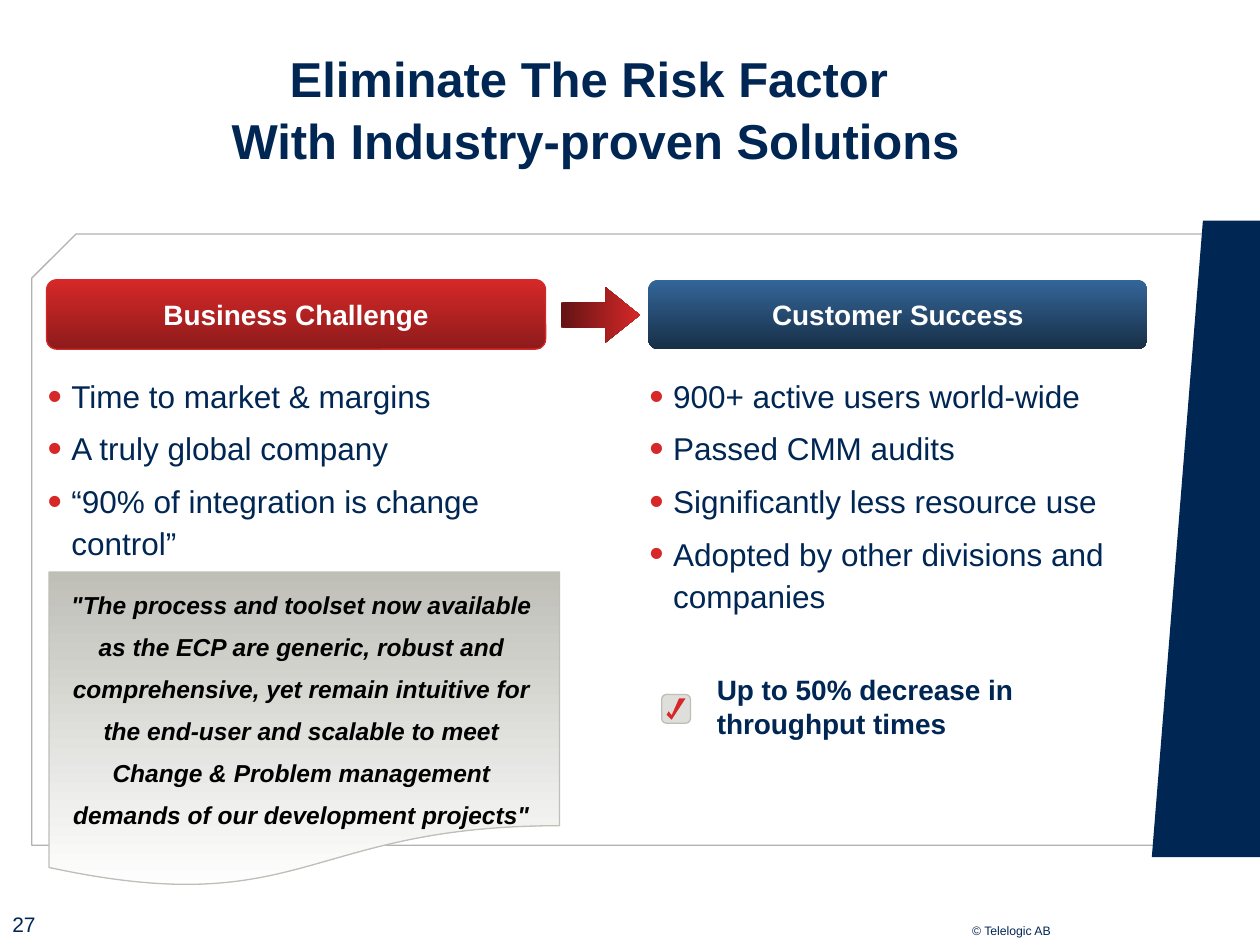
from lxml import etree
from pptx import Presentation
from pptx import util as u
from pptx.dml.color import RGBColor
from pptx.enum import shapes, text
from pptx.oxml import ns

NAVY, RED, GREY, WHITE = "002654", "D62828", "BFBFB8", "FFFFFF"
SHAPE, ALIGN, ANCHOR = shapes.MSO_SHAPE, text.PP_ALIGN, text.MSO_ANCHOR


def rgb(value):
    """Turn a hex string into a colour."""
    return RGBColor.from_string(value)


def child(parent, tag, **attrs):
    """Append a DrawingML element."""
    return etree.SubElement(parent, ns.qn("a:" + tag), attrs)


def paint(sp, fill=None, line=None, angle=270):
    """Fill with one colour or a pair as gradient, and set the outline."""
    sp.shadow.inherit = False
    if isinstance(fill, tuple):
        sp.fill.gradient()
        sp.fill.gradient_angle = angle
        for stop, colour in zip(sp.fill.gradient_stops, fill):
            stop.color.rgb = rgb(colour)
    elif fill:
        sp.fill.solid()
        sp.fill.fore_color.rgb = rgb(fill)
    else:
        sp.fill.background()
    if line:
        sp.line.color.rgb = rgb(line)
        sp.line.width = u.Pt(0.75)
    else:
        sp.line.fill.background()


def preset(s, kind, box, adjust=(), **colours):
    """Add a painted preset shape."""
    sp = s.shapes.add_shape(kind, *map(u.Cm, box))
    for i, value in enumerate(adjust):
        sp.adjustments[i] = value
    paint(sp, **colours)
    return sp


def outline(s, box, points, **colours):
    """Add a closed freeform from points relative to the box corner."""
    pts = [(u.Cm(box[0] + x), u.Cm(box[1] + y)) for x, y in points]
    builder = s.shapes.build_freeform(*pts[0], scale=1.0)
    builder.add_line_segments(pts[1:], close=True)
    paint(builder.convert_to_shape(), **colours)


def style(p, size, colour=NAVY, bold=False, italic=False):
    """Set the font of a paragraph."""
    f = p.font
    f.name, f.size, f.bold, f.italic = "Arial", u.Pt(size), bold, italic
    f.color.rgb = rgb(colour)


def label(s, box, words, size, wrap=True, side=0.25, **font):
    """Add a text box with one paragraph and return its frame."""
    tf = s.shapes.add_textbox(*map(u.Cm, box)).text_frame
    tf.word_wrap = wrap
    tf.margin_left = tf.margin_right = u.Cm(side)
    tf.text = words
    style(tf.paragraphs[0], size, **font)
    return tf


def title(s, box, words):
    """Place and format the title placeholder."""
    sp = s.shapes.title
    sp.left, sp.top, sp.width, sp.height = map(u.Cm, box)
    tf = sp.text_frame
    tf.text = words
    tf.auto_size = text.MSO_AUTO_SIZE.NONE
    tf.vertical_anchor = ANCHOR.MIDDLE
    p = tf.paragraphs[0]
    p.alignment, p.line_spacing = ALIGN.CENTER, 1.05
    style(p, 28, bold=True)


def backdrop(s, box):
    """Draw the cut-corner panel and the slanted band at its right."""
    x, y, w, h = box
    cut, slant, band_w, band_h = 0.89, 1.03, 2.18, 12.83
    outline(s, box, [(w, 0), (cut, 0), (0, cut), (0, h), (w, h)], line="B2B2B2")
    outline(s, (x + 22.58, y - 0.27),
            [(slant, 0), (0, band_h), (band_w, band_h), (band_w, 0)], fill=NAVY)


def bullet(p):
    """Give a paragraph a red hanging bullet."""
    pPr = p._p.get_or_add_pPr()
    pPr.set("marL", str(u.Cm(0.97)))
    pPr.set("indent", str(u.Cm(-0.48)))
    child(child(pPr, "buClr"), "srgbClr", val=RED)
    child(pPr, "buSzPct", val="130000")
    child(pPr, "buFont", typeface="Arial")
    child(pPr, "buChar", char="•")


def column(s, box, heading, items, fill, line=None):
    """Draw a heading bar with a bullet list below it."""
    x, y, w, h = box
    bar_h, list_dy = 1.4, 1.75
    bar = preset(s, SHAPE.ROUNDED_RECTANGLE, (x, y, w, bar_h), [0.146], fill=fill, line=line)
    tf = bar.text_frame
    tf.text = heading
    tf.vertical_anchor = ANCHOR.MIDDLE
    tf.paragraphs[0].alignment = ALIGN.CENTER
    style(tf.paragraphs[0], 16, WHITE, bold=True)

    tf = s.shapes.add_textbox(*map(u.Cm, (x - 0.47, y + list_dy, w + 0.61, h - list_dy))).text_frame
    tf.word_wrap = True
    tf.margin_left = tf.margin_right = 0
    for i, item in enumerate(items):
        p = tf.add_paragraph() if i else tf.paragraphs[0]
        p.text = item
        bullet(p)
        p.line_spacing = u.Pt(24)
        if i:
            p.space_before = u.Pt(6)
        style(p, 18)


def quote(s, box, words):
    """Draw a quotation on a sheet with a wavy lower edge."""
    x, y, w, h = box
    preset(s, SHAPE.FLOWCHART_DOCUMENT, box, fill=(GREY, WHITE), line=GREY)
    tf = label(s, (x + 0.3, y - 0.02, w - 0.71, h - 1.05), words, 14,
               side=0, colour="000000", bold=True, italic=True)
    p = tf.paragraphs[0]
    p.alignment, p.line_spacing = ALIGN.CENTER, u.Pt(24)


def result(s, box, words):
    """Draw a ticked check box with its statement."""
    x, y, w, h = box
    side, dy = 0.58, 0.56
    sp = preset(s, SHAPE.ROUNDED_RECTANGLE, (x, y + dy, side, side), [0.167], fill=GREY, line=GREY)
    child(sp.fill._xPr.find(".//" + ns.qn("a:srgbClr")), "alpha", val="50000")
    tick = [(0, 0.33), (0.1, 0.43), (0.38, 0), (0.25, 0), (0.1, 0.34), (0.04, 0.26)]
    outline(s, (x + 0.1, y + dy + 0.08), tick, fill=RED)
    label(s, (x + 0.86, y, w - 0.86, h), words, 16, bold=True)


def footer(s, box, number, notice):
    """Place the slide number and the copyright line."""
    x, y, w, h = box
    tf = label(s, (x, y, 5.28, h), number, 12)
    tf.vertical_anchor = ANCHOR.MIDDLE
    label(s, (x + 19.35, y + 0.3, 2.13, 0.56), notice, 7, wrap=False)


def main():
    """Build and save the slide."""
    prs = Presentation()
    prs.slide_width, prs.slide_height = u.Cm(25.4), u.Cm(19.05)
    s = prs.slides.add_slide(prs.slide_layouts[5])
    footer(s, (0, 18.19, 25.4, 0.86), "27", "© Telelogic AB")
    backdrop(s, (0.64, 4.72, 24.13, 12.32))
    title(s, (1.19, 0.58, 21.36, 3.18),
          "Eliminate The Risk Factor\v With Industry-proven Solutions")
    preset(s, SHAPE.RIGHT_ARROW, (11.3, 5.79, 1.6, 1.12), [0.455, 0.622],
           fill=("631313", RED), angle=0)
    column(s, (0.94, 5.64, 10.06, 6.42), "Business Challenge",
           ["Time to market & margins", "A truly global company",
            "“90% of integration is change control”"],
           (RED, "8E1B1B"), RED)
    column(s, (13.07, 5.64, 10.06, 8.71), "Customer Success",
           ["900+ active users world-wide", "Passed CMM audits",
            "Significantly less resource use", "Adopted by other divisions and companies"],
           ("336699", "182F47"))
    quote(s, (0.99, 11.53, 10.29, 6.38),
          '"The process and toolset now available as the ECP are generic, robust and '
          "comprehensive, yet remain intuitive for the end-user and scalable to meet "
          'Change & Problem management demands of our development projects"')
    result(s, (13.34, 13.44, 7.72, 1.63), "Up to 50% decrease in throughput times")
    prs.save("out.pptx")


if __name__ == "__main__":
    main()
